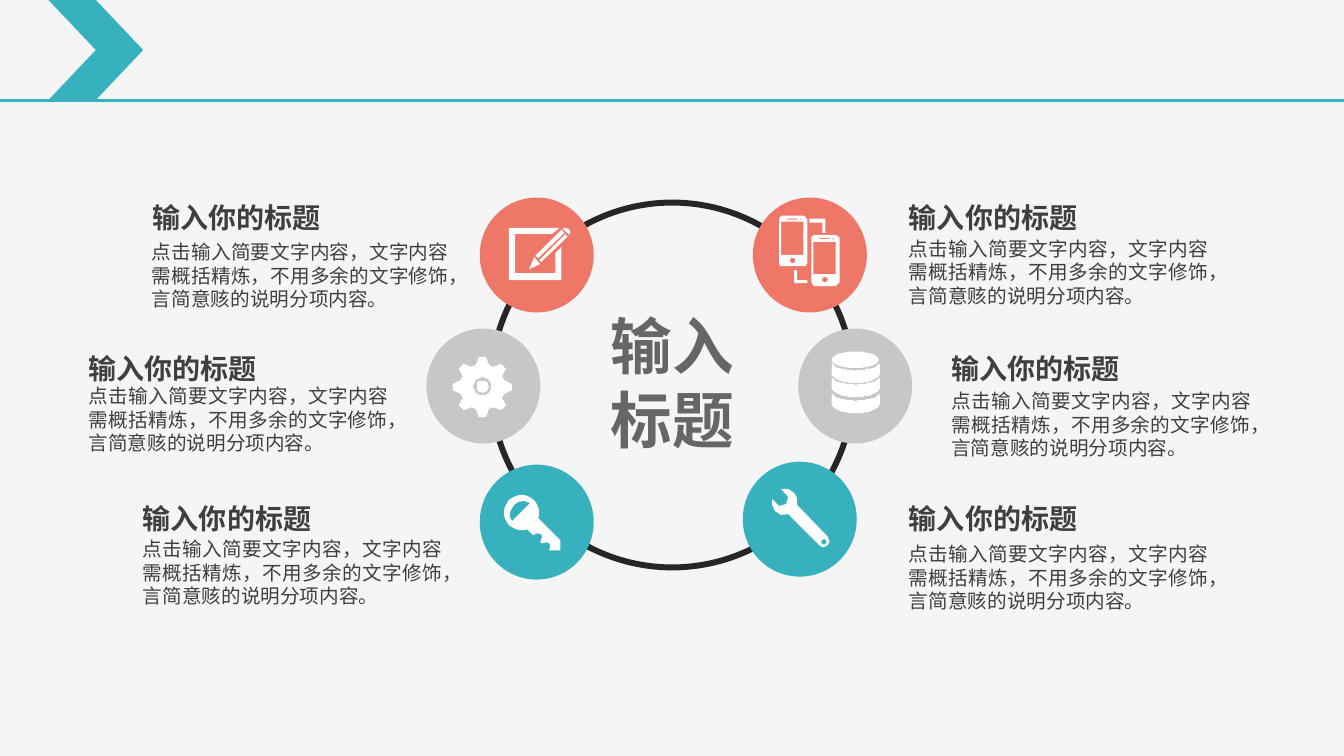
from math import cos, sin, radians
from pptx import Presentation
from pptx.dml.color import RGBColor
from pptx.enum.shapes import MSO_CONNECTOR, MSO_SHAPE
from pptx.enum.text import PP_ALIGN
from pptx.oxml.ns import qn
from pptx.util import Pt
from lxml import etree

FONT = "Noto Sans CJK SC"
COLORS = {"bg": "F5F5F5", "teal": "38B1BF", "coral": "EF7768", "gray": "C7C7C7",
          "ring": "262626", "text": "3F3F3F", "center": "666666", "white": "FFFFFF"}
HEADING = "输入你的标题"
DETAIL = "点击输入简要文字内容，文字内容需概括精炼，不用多余的文字修饰，言简意赅的说明分项内容。"
CENTER = ["输入", "标题"]

# left, heading top, detail top, detail width
NOTES = [
    (101.5, 139.7, 167.8, 226.1), (56.2, 247.7, 270.7, 228.2), (95, 355, 380.2, 228.2),
    (642.2, 139.7, 165.6, 228.2), (672.5, 247.7, 274.3, 228.2), (642.2, 355, 383.8, 228.2),
]
BADGE_W, BADGE_H = 81.4, 82.1
UNIT = 0.72  # size of one icon grid step


# Icon outlines: each icon is a list of shapes, each shape a list of contours
def arc(cx, cy, rx, ry, start=0, end=360, steps=24):
    angles = [radians(start + (end - start) * i / steps) for i in range(steps + 1)]
    return [(cx + rx * cos(a), cy + ry * sin(a)) for a in angles]


def box(x1, y1, x2, y2):
    return [(x1, y1), (x2, y1), (x2, y2), (x1, y2)]


def gear(cx, cy, teeth=8):
    tooth = [(22.5, -17), (29.7, -6.5), (29.7, 6.5), (22.5, 17)]
    turns = [(r, radians(a + 360 / teeth * i)) for i in range(teeth) for r, a in tooth]
    return [(cx + r * cos(a), cy + r * sin(a)) for r, a in turns]


def band(y):
    return [arc(57, y, 23, 7.5, 180, 0) + [(81, y + 3)] + arc(57, y + 10, 24, 10, 0, 180)
            + [(33, y + 3)]]


def phone(x, y):
    body = [(3, 0), (24.5, 0), (26.5, 1), (27.5, 3.5), (27.5, 47), (26.5, 49.5),
            (24.5, 50.5), (3, 50.5), (1, 49.5), (0, 47), (0, 3.5), (1, 1)]
    parts = [body, box(2.5, 6.5, 24.5, 39), box(8, 3, 18, 4),
             arc(13.5, 44.5, 2.5, 2.5), arc(21.5, 3.7, 0.8, 0.8)]
    return [[(x + px, y + py) for px, py in part] for part in parts]


EDIT = [
    [[(60, 66), (54, 59), (49, 71)]],
    [[(81, 32), (55, 58), (58, 60), (84, 35)]],
    [[(59, 62), (61, 64), (87, 39), (85, 36)]],
    [[(82, 31), (85, 29.5), (88, 31), (90, 34), (89, 37)]],
    [[(75, 75), (35, 75), (35, 36), (72, 36), (79, 30), (29, 30), (29, 82), (81, 82),
      (81, 49), (75, 55)]],
]
PHONES = [
    phone(26, 18), phone(58, 37),
    [[(69, 35), (72, 35), (72, 21), (56, 21), (56, 25), (69, 25)]],
    [[(44, 72), (41, 72), (41, 85), (54, 85), (54, 82), (44, 82)]],
]
GEAR = [[gear(55.5, 58), arc(55.5, 57.5, 9, 9)], [arc(55.5, 57.5, 6, 6)]]
DATABASE = [band(y) for y in (48, 64, 34)] + [[arc(56.5, 31, 23.5, 8)]]
KEY = [[
    arc(41.5, 47.5, 17.5, 17.5, 70, 380) + [
        (80, 75), (80, 85), (69, 85), (70, 80), (69, 78), (66, 77), (62, 78), (60, 77),
        (61, 74), (62, 71), (61, 69), (57, 68), (53, 70)],
    [(32, 56), (30, 52), (30, 47), (34, 40), (38, 37), (44, 36), (50, 38)],
]]
WRENCH = [[
    [(54, 43), (54, 36), (51, 31), (45, 27), (38, 27), (45, 35), (43, 42), (36, 44),
     (29, 37), (29, 43), (32, 49), (38, 53), (45, 52), (76, 83), (80, 85), (84, 83),
     (86, 79), (84, 74)],
    arc(80.5, 79.5, 2.5, 2.5),
]]

# left, top, color, icon
BADGES = [
    (342.7, 141.1, "coral", EDIT), (304.6, 234.7, "gray", GEAR),
    (570.2, 234.7, "gray", DATABASE), (342.7, 331.9, "teal", KEY),
    (530.6, 329.8, "teal", WRENCH), (537.8, 141.1, "coral", PHONES),
]


def rgb(name):
    return RGBColor.from_string(COLORS[name])


def paint(shape, fill):
    shape.shadow.inherit = False
    shape.fill.solid()
    shape.fill.fore_color.rgb = rgb(fill)
    shape.line.fill.background()


def add_icon(left, top, icon):
    for contours in icon:
        fb = None
        for first, *rest in contours:
            if fb is None:
                fb = s.shapes.build_freeform(*first, scale=Pt(UNIT))
            else:
                fb.move_to(*first)
            fb.add_line_segments(rest, close=True)
        paint(fb.convert_to_shape(Pt(left), Pt(top)), "white")


def add_text(left, top, width, height, lines, size, color, bold=False, align=PP_ALIGN.LEFT):
    tf = s.shapes.add_textbox(Pt(left), Pt(top), Pt(width), Pt(height)).text_frame
    tf.word_wrap = True
    tf.text = "\n".join(lines)
    for p in tf.paragraphs:
        p.alignment = align
        p.font.name, p.font.size, p.font.bold = FONT, Pt(size), bold
        p.font.color.rgb = rgb(color)


prs = Presentation()
prs.slide_width, prs.slide_height = Pt(960), Pt(540)
s = prs.slides.add_slide(prs.slide_layouts[6])
s.background.fill.solid()
s.background.fill.fore_color.rgb = rgb("bg")

# Header rule and chevron
rule = s.shapes.add_connector(MSO_CONNECTOR.STRAIGHT, Pt(0), Pt(71.5), Pt(960), Pt(71.5))
rule.line.color.rgb = rgb("teal")
rule.line.width = Pt(2.25)
etree.SubElement(rule._element.spPr, qn("a:effectLst"))
paint(s.shapes.add_shape(MSO_SHAPE.CHEVRON, Pt(34.6), Pt(0), Pt(67.7), Pt(71.5)), "teal")

# Ring with icon badges
ring = s.shapes.add_shape(MSO_SHAPE.OVAL, Pt(350.6), Pt(144.7), Pt(259.2), Pt(260.6))
ring.shadow.inherit = False
ring.fill.background()
ring.line.color.rgb = rgb("ring")
ring.line.width = Pt(4.25)
for left, top, color, icon in BADGES:
    paint(s.shapes.add_shape(MSO_SHAPE.OVAL, Pt(left), Pt(top), Pt(BADGE_W), Pt(BADGE_H)), color)
    add_icon(left, top, icon)

# Notes on both sides and center title
for left, head_top, detail_top, width in NOTES:
    add_text(left, detail_top, width, 58.3, [DETAIL], 14, "text", align=PP_ALIGN.JUSTIFY)
    add_text(left, head_top, 135.4, 31.7, [HEADING], 20, "text", bold=True)
add_text(429.1, 216.7, 103.7, 113.8, CENTER, 44, "center", bold=True)

prs.save("out.pptx")
